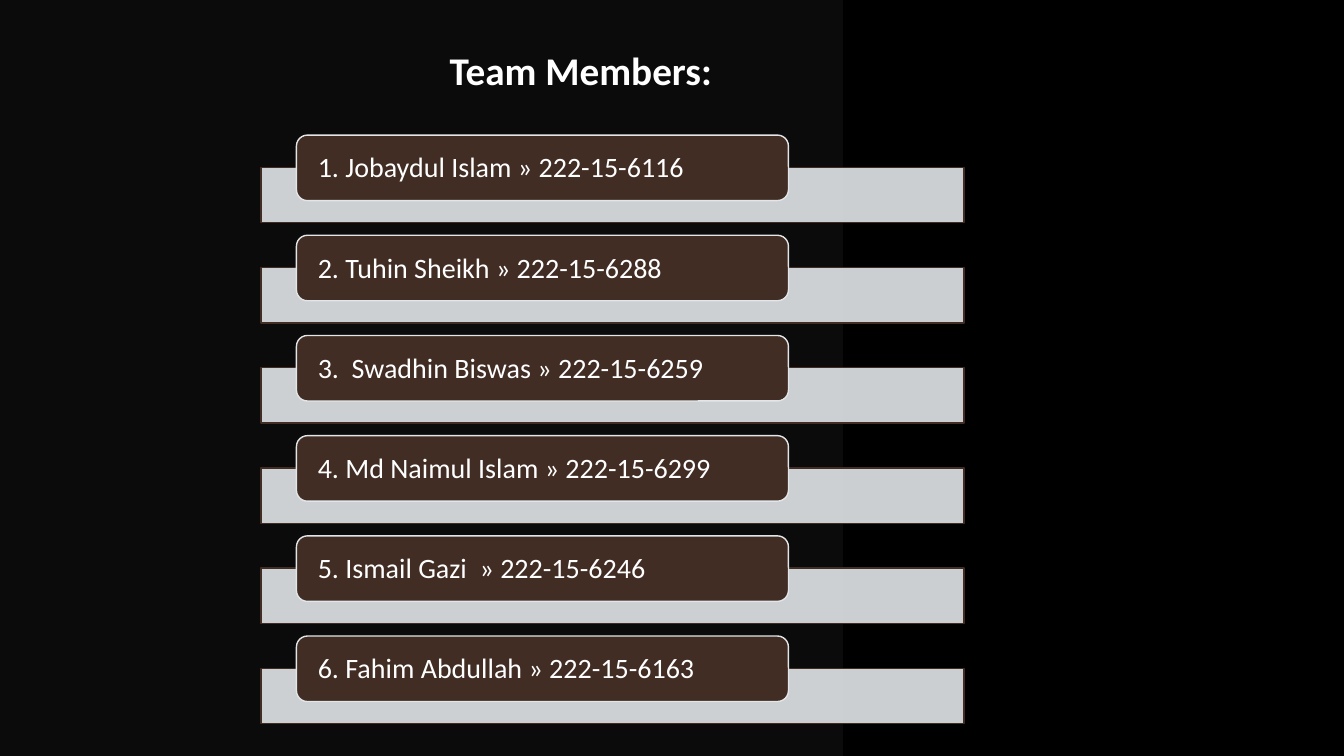
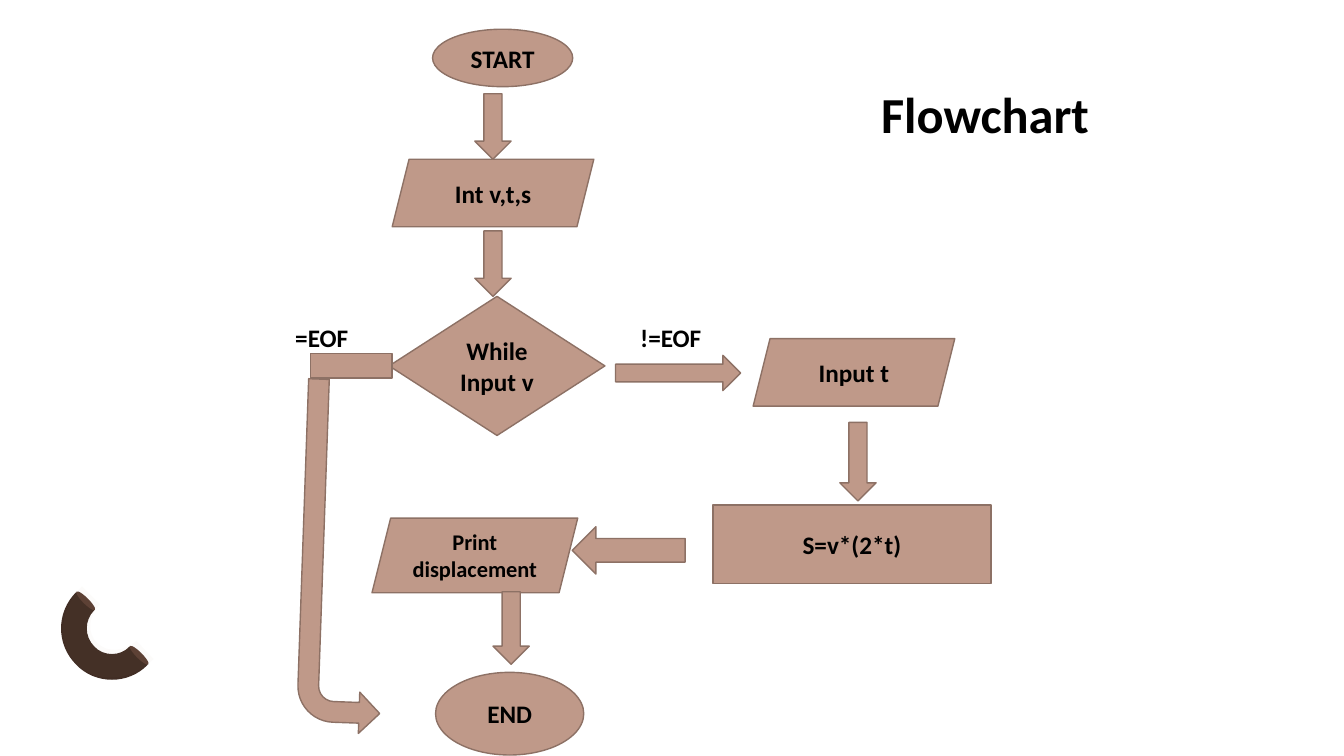
import math
from typing import NamedTuple, Optional

from lxml import etree
from pptx import Presentation
from pptx import util as u
from pptx.dml.color import RGBColor
from pptx.enum import shapes, text
from pptx.oxml import ns

COLORS = {
    "black": "000000",
    "white": "FFFFFF",
    "veil": "F0E8E5",
    "bar": "E2E6E8",
    "brown": "412D24",
    "cap": "5B3F33",
    "sheen": "B68E7B",
    "step": "BF9989",
    "edge": "8D7165",
}
FONT = "Calibri"
KIND = shapes.MSO_SHAPE
ALIGN = text.PP_ALIGN
Point = tuple[float, float]


class Place(NamedTuple):
    left: float
    top: float
    width: float
    height: float


class Step(NamedTuple):
    kind: KIND
    place: Place
    label: str = ""
    size: int = 18
    turn: float = 0
    mirrored: bool = False


class Caption(NamedTuple):
    label: str
    place: Place
    size: int = 18
    color: str = "black"
    align: ALIGN = ALIGN.LEFT


class Arc(NamedTuple):
    color: str
    alpha: int
    center: Point
    start: Point
    segments: list[list[Point]]


def rgb(name: str) -> RGBColor:
    return RGBColor.from_string(COLORS[name])


def paint(shape, fill: str, line: Optional[str] = None, alpha: int = 100) -> None:
    shape.shadow.inherit = False
    shape.fill.solid()
    shape.fill.fore_color.rgb = rgb(fill)
    if alpha < 100:
        color = shape.fill._xPr.find(".//" + ns.qn("a:srgbClr"))
        etree.SubElement(color, ns.qn("a:alpha")).set("val", str(alpha * 1000))
    if line:
        shape.line.color.rgb = rgb(line)
        shape.line.width = u.Pt(1)
    else:
        shape.line.fill.background()


def write(shape, content: str, *, size: int, color: str, bold: bool = True,
          align: ALIGN = ALIGN.CENTER, spacing: float = 1.0) -> None:
    frame = shape.text_frame
    frame.word_wrap = True
    for index, words in enumerate(content.split("\n")):
        para = frame.paragraphs[0] if index == 0 else frame.add_paragraph()
        para.alignment = align
        para.line_spacing = spacing
        span = para.add_run()
        span.text = words
        span.font.name = FONT
        span.font.size = u.Pt(size)
        span.font.bold = bold
        span.font.color.rgb = rgb(color)


def add_box(page, kind: KIND, place: Place, fill: str,
            line: Optional[str] = None, alpha: int = 100):
    box = page.shapes.add_shape(kind, *map(u.Inches, place))
    paint(box, fill, line, alpha)
    return box


def add_caption(page, caption: Caption) -> None:
    box = page.shapes.add_textbox(*map(u.Inches, caption.place))
    box.text_frame.auto_size = text.MSO_AUTO_SIZE.SHAPE_TO_FIT_TEXT
    write(box, caption.label, size=caption.size, color=caption.color,
          align=caption.align)


def add_step(page, step: Step) -> None:
    box = add_box(page, step.kind, step.place, "step", "edge")
    box.rotation = step.turn
    if step.mirrored:
        box._element.spPr.xfrm.set("flipH", "1")
    if step.label:
        box.text_frame.vertical_anchor = text.MSO_ANCHOR.MIDDLE
        write(box, step.label, size=step.size, color="black")


def level(point: Point, center: Point) -> Point:
    x, y = point[0] - center[0], point[1] - center[1]
    scale = math.sqrt(0.5)
    return (u.Inches(center[0] + (x + y) * scale),
            u.Inches(center[1] + (y - x) * scale))


def add_arc(page, arc: Arc) -> None:
    points = [arc.start] + [point for segment in arc.segments for point in segment]
    corners = [level(point, arc.center) for point in points]
    builder = page.shapes.build_freeform(*corners[0])
    builder.add_line_segments(corners[1:], close=True)
    shape = builder.convert_to_shape()
    outline = shape._element.spPr.find(".//" + ns.qn("a:path"))
    lines = iter(outline.findall(ns.qn("a:lnTo")))
    for segment in arc.segments:
        parts = [next(lines) for _ in segment]
        if len(parts) == 3:
            curve = etree.Element(ns.qn("a:cubicBezTo"))
            outline.replace(parts[0], curve)
            for part in parts:
                curve.append(part[0])
            for part in parts[1:]:
                outline.remove(part)
    shape.rotation = 45
    paint(shape, arc.color, alpha=arc.alpha)


def add_page(deck, background: str):
    page = deck.slides.add_slide(deck.slide_layouts[6])
    page.background.fill.solid()
    page.background.fill.fore_color.rgb = rgb(background)
    return page


def add_member(page, label: str, top: float) -> None:
    add_box(page, KIND.RECTANGLE, Place(2.59, top + 0.32, 6.97, 0.55),
            "bar", "brown", alpha=90)
    plate = add_box(page, KIND.ROUNDED_RECTANGLE, Place(2.94, top, 4.88, 0.65),
                    "brown", "bar")
    frame = plate.text_frame
    frame.vertical_anchor = text.MSO_ANCHOR.MIDDLE
    frame.margin_left = frame.margin_right = u.Inches(0.18)
    frame.margin_top, frame.margin_bottom = u.Inches(0.02), 0
    write(plate, label, size=20, color="white", bold=False,
          align=ALIGN.LEFT, spacing=0.9)


MEMBERS = [
    "1. Jobaydul\u00a0Islam » 222-15-6116",
    "2. Tuhin Sheikh\u00a0» 222-15-6288",
    "3.\u00a0 Swadhin Biswas\u00a0» 222-15-6259",
    "4. Md Naimul Islam\u00a0» 222-15-6299",
    "5. Ismail Gazi\u00a0\u00a0» 222-15-6246",
    "6. Fahim Abdullah\u00a0» 222-15-6163",
]
FIRST_TOP, LAST_TOP = 1.34, 6.31

ARCS = [
    Arc("brown", 100, (0.94, 6.42), (0.76, 6.59), [
        [(0.56, 6.39), (0.56, 6.07), (0.76, 5.87)],
        [(0.94, 6.05)],
        [(0.84, 6.15), (0.84, 6.31), (0.94, 6.41)],
        [(1.03, 6.51), (1.2, 6.51), (1.29, 6.41)],
        [(1.47, 6.59)],
        [(1.28, 6.79), (0.95, 6.79), (0.76, 6.59)],
    ]),
    Arc("sheen", 3, (0.96, 6.38), (0.76, 6.59), [
        [(0.56, 6.39), (0.58, 6.05), (0.81, 5.82)],
        [(0.99, 6)],
        [(0.87, 6.11), (0.86, 6.29), (0.96, 6.38)],
        [(1.06, 6.48), (1.23, 6.47), (1.35, 6.36)],
        [(1.52, 6.54)],
        [(1.3, 6.76), (0.95, 6.79), (0.76, 6.59)],
    ]),
]
ARC_CAPS = [Place(1.35, 6.37, 0.06, 0.26), Place(0.82, 5.83, 0.06, 0.26)]

STEPS = [
    Step(KIND.OVAL, Place(4.29, 0.29, 1.39, 0.57), "START"),
    Step(KIND.PARALLELOGRAM, Place(3.89, 1.58, 2, 0.67), "Int v,t,s"),
    Step(KIND.DIAMOND, Place(3.86, 2.94, 2.14, 1.38), "While\nInput v"),
    Step(KIND.PARALLELOGRAM, Place(7.47, 3.36, 2, 0.67), "Input t"),
    Step(KIND.RECTANGLE, Place(7.07, 5.01, 2.76, 0.78), "S=v*(2*t)"),
    Step(KIND.DOWN_ARROW, Place(4.71, 0.93, 0.36, 0.65)),
    Step(KIND.DOWN_ARROW, Place(4.71, 2.29, 0.36, 0.65)),
    Step(KIND.DOWN_ARROW, Place(6, 4.9, 0.47, 1.12), turn=90),
    Step(KIND.DOWN_ARROW, Place(8.33, 4.19, 0.36, 0.78)),
    Step(KIND.DOWN_ARROW, Place(6.55, 3.08, 0.35, 1.24), turn=270),
    Step(KIND.PARALLELOGRAM, Place(3.69, 5.14, 2.04, 0.74),
         "Print displacement", size=16),
    Step(KIND.OVAL, Place(4.32, 6.67, 1.47, 0.82), "END"),
    Step(KIND.DOWN_ARROW, Place(4.89, 5.87, 0.36, 0.72)),
    Step(KIND.BENT_ARROW, Place(3, 3.77, 0.82, 3.5), turn=182, mirrored=True),
    Step(KIND.RECTANGLE, Place(3.08, 3.51, 0.81, 0.24)),
]
FLOW_CAPTIONS = [
    Caption("!=EOF", Place(6.25, 3.15, 1.51, 0.4)),
    Caption("=EOF", Place(2.83, 3.15, 1.14, 0.4)),
    Caption("Flowchart\u00a0", Place(8.64, 0.78, 4.01, 0.71), size=36),
]


def build_team(deck) -> None:
    page = add_page(deck, "black")
    add_box(page, KIND.RECTANGLE, Place(0, 0, 13.33, 7.5), "black")
    add_box(page, KIND.RECTANGLE, Place(0, 0, 8.36, 7.5), "veil", alpha=5)
    pitch = (LAST_TOP - FIRST_TOP) / (len(MEMBERS) - 1)
    for index, member in enumerate(MEMBERS):
        add_member(page, member, FIRST_TOP + index * pitch)
    add_caption(page, Caption("Team Members:", Place(2.81, 0.41, 5.9, 0.57),
                              size=28, color="white", align=ALIGN.CENTER))


def build_flowchart(deck) -> None:
    page = add_page(deck, "white")
    body, sheen = ARCS
    add_arc(page, body)
    for place in ARC_CAPS:
        add_box(page, KIND.OVAL, place, "cap").rotation = 135
    add_arc(page, sheen)
    for step in STEPS:
        add_step(page, step)
    for caption in FLOW_CAPTIONS:
        add_caption(page, caption)


def main() -> None:
    deck = Presentation()
    deck.slide_width = u.Inches(13.33)
    deck.slide_height = u.Inches(7.5)
    build_team(deck)
    build_flowchart(deck)
    deck.save("out.pptx")


main()
